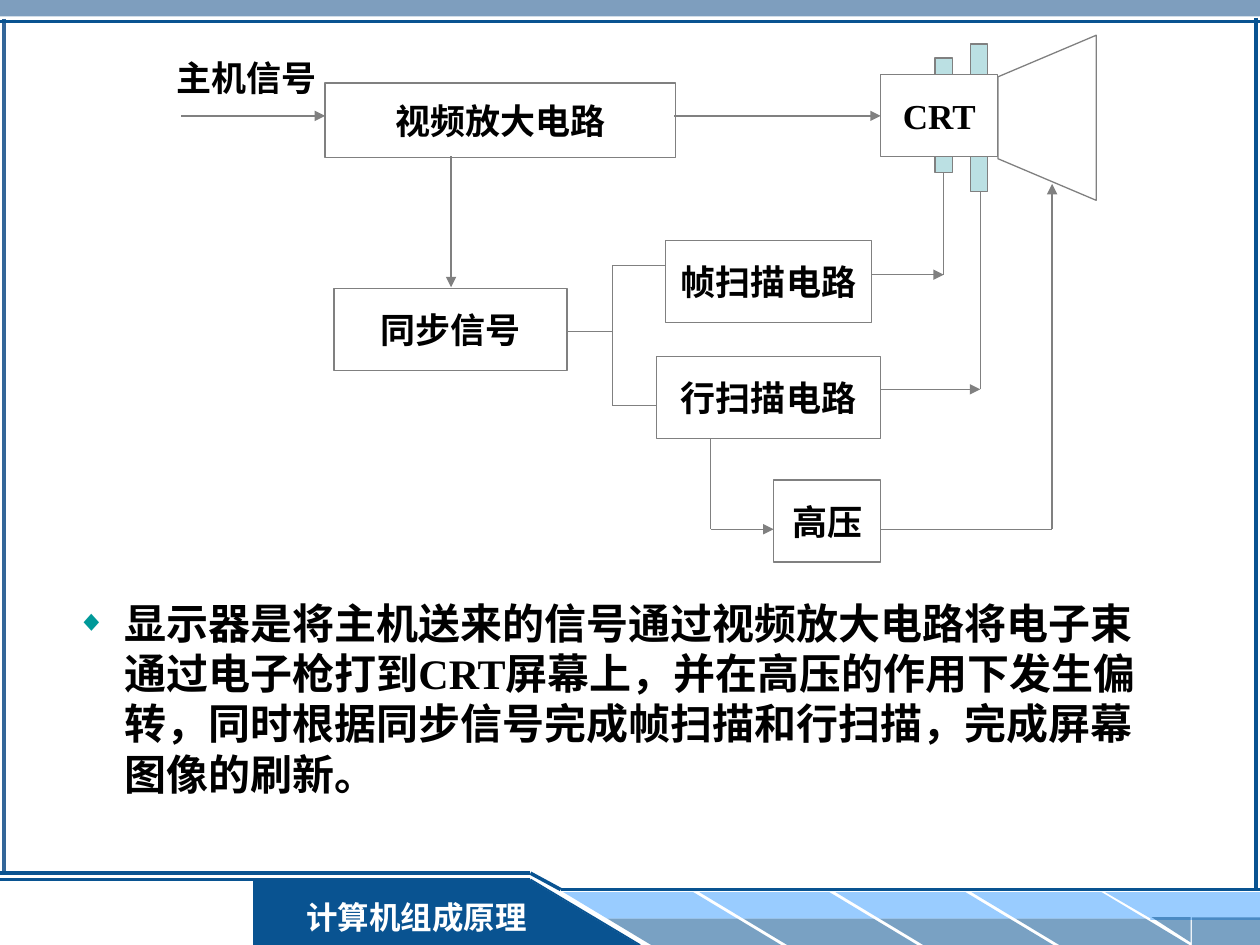
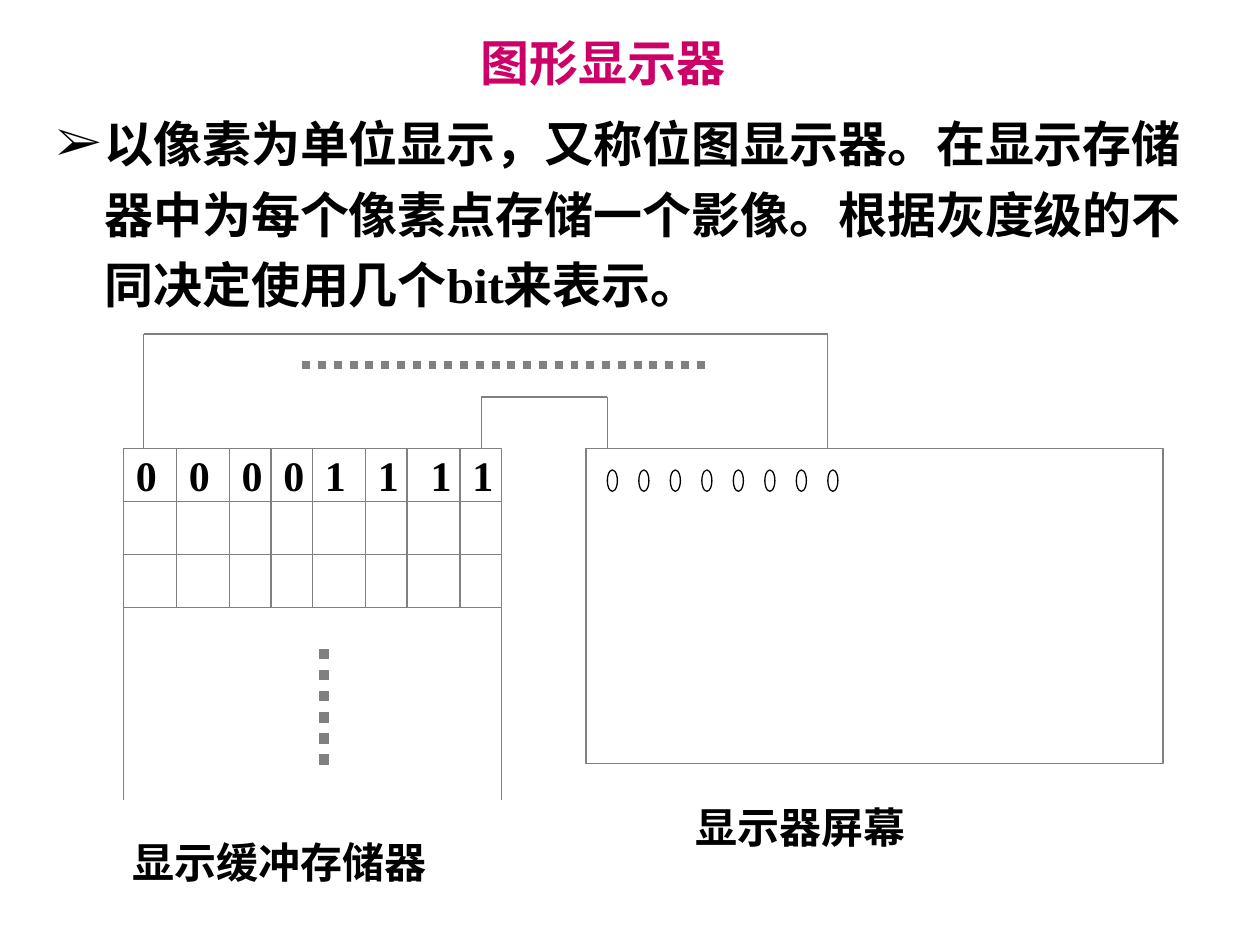
import pptx
import pptx.util
import pptx.dml.color
import pptx.enum.dml
import pptx.enum.shapes
import pptx.enum.text
import pptx.oxml.ns
import itertools
import lxml.etree

Inches, Pt = pptx.util.Inches, pptx.util.Pt
qn = pptx.oxml.ns.qn
PRESET = pptx.enum.shapes.MSO_SHAPE
ALIGN = pptx.enum.text.PP_ALIGN
ANCHOR = pptx.enum.text.MSO_ANCHOR

COLORS = {"navy": "095391", "steel": "336699", "sky": "99CCFF", "coil": "BBE0E3",
          "gray": "808080", "teal": "009999", "magenta": "CC0066",
          "black": "000000", "white": "FFFFFF"}
FONT = "Times New Roman"

# ---- Content: CRT block diagram ----
COURSE = "计算机组成原理"
COILS = [(7.42, 0.46, 0.14, 0.91), (7.7, 0.35, 0.14, 1.17)]
BLOCKS = [
    ("视频放大电路", (2.58, 0.66, 2.78, 0.59), None),
    ("同步信号", (2.65, 2.29, 1.85, 0.65), None),
    ("帧扫描电路", (5.28, 1.91, 1.64, 0.65), None),
    ("行扫描电路", (5.21, 2.83, 1.78, 0.65), None),
    ("高压", (6.14, 3.81, 0.85, 0.65), None),
    ("CRT", (6.99, 0.59, 0.93, 0.65), "white"),
]
TUBE = [(8.7, 0.28), (7.92, 0.61), (7.92, 1.26), (8.7, 1.59)]
SIGNAL_WIRES = [  # points, ends in an arrow
    ([(1.44, 0.92), (2.58, 0.92)], True),
    ([(3.58, 1.24), (3.58, 2.28)], True),
    ([(4.5, 2.63), (4.86, 2.63)], False),
    ([(5.28, 2.11), (4.86, 2.11), (4.86, 3.22), (5.21, 3.22)], False),
    ([(5.64, 3.48), (5.64, 4.2), (6.14, 4.2)], True),
    ([(5.35, 0.92), (6.99, 0.92)], True),
    ([(6.99, 4.2), (8.35, 4.2), (8.35, 1.46)], True),
    ([(7.78, 1.52), (7.78, 3.09)], False),
    ([(6.99, 3.09), (7.78, 3.09)], True),
    ([(7.49, 1.37), (7.49, 2.18)], False),
    ([(6.92, 2.18), (7.49, 2.18)], True),
]
HOST_SIGNAL = "主机信号"
CRT_NOTE = ("显示器是将主机送来的信号通过视频放大电路将电子束通过电子枪打到CRT屏幕上，"
            "并在高压的作用下发生偏转，同时根据同步信号完成帧扫描和行扫描，完成屏幕图像的刷新。")

# ---- Content: graphic display ----
GRAPHIC_TITLE = "图形显示器"
GRAPHIC_NOTE = ("以像素为单位显示，又称位图显示器。在显示存储器中为每个像素点存储一个影像。"
                "根据灰度级的不同决定使用几个bit来表示。")
BITS = "00001111"
BIT_STEPS = [0.42, 0.42, 0.33, 0.33, 0.42, 0.42, 0.33]
CELL_WIDTHS = [0.42, 0.42, 0.33, 0.33, 0.42, 0.33, 0.42]
BUFFER_ROWS, ROW_HEIGHT = 3, 0.42
BUFFER_LEFT, BUFFER_RIGHT, BUFFER_TOP = 0.98, 3.98, 3.56
SCREEN = (4.65, 3.56, 4.58, 2.5)
PIXEL_LEFT, PIXEL_TOP, PIXEL_PITCH = 4.82, 3.73, 0.25
PIXEL_WIRES = [
    [(3.82, 3.56), (3.82, 3.15), (4.82, 3.15), (4.82, 3.56)],
    [(1.14, 3.56), (1.14, 2.65), (6.57, 2.65), (6.57, 3.56)],
]
CAPTIONS = [("显示缓冲存储器", (0.95, 6.59, 3.83, 0.5)),
            ("显示器屏幕", (5.42, 6.31, 3.83, 0.5))]


# ---- Drawing helpers ----
def rgb(name):
    return pptx.dml.color.RGBColor.from_string(COLORS[name])


def add_xml(parent, tag, **attributes):
    return lxml.etree.SubElement(parent, qn(tag), attributes)


def box(at):
    return [Inches(length) for length in at]


def paint(shape, fill=None, outline=None, opacity=None):
    shape.shadow.inherit = False
    if fill:
        shape.fill.solid()
        shape.fill.fore_color.rgb = rgb(fill)
        if opacity:
            color = shape.fill._xPr.find(qn("a:solidFill"))[0]
            add_xml(color, "a:alpha", val=str(opacity * 1000))
    else:
        shape.fill.background()
    if outline:
        shape.line.color.rgb = rgb(outline)
        shape.line.width = Pt(0.75)
    else:
        shape.line.fill.background()


def draw(slide, preset, at, fill=None, outline=None, opacity=None, flip="", adjust=None):
    shape = slide.shapes.add_shape(preset, *box(at))
    paint(shape, fill, outline, opacity)
    for axis in flip:
        shape._element.spPr.find(qn("a:xfrm")).set("flip" + axis, "1")
    if adjust:
        shape.adjustments[0] = adjust
    return shape


def wire(slide, points, color="gray", width=0.75, arrow=False, dotted=False):
    for index, (start, end) in enumerate(zip(points, points[1:]), 1):
        segment = slide.shapes.add_connector(
            pptx.enum.shapes.MSO_CONNECTOR.STRAIGHT, *box(start + end))
        segment.line.color.rgb = rgb(color)
        segment.line.width = Pt(width)
        if dotted:
            segment.line.dash_style = pptx.enum.dml.MSO_LINE.ROUND_DOT
        if arrow and index == len(points) - 1:
            add_xml(segment.line._ln, "a:tailEnd", type="triangle")
        add_xml(segment._element.spPr, "a:effectLst")


def write(frame, text, size, color="black", align=ALIGN.LEFT, anchor=ANCHOR.TOP,
          before=0, spacing=None, bullet=None, tabs=(), wrap=True):
    frame.word_wrap = wrap
    frame.vertical_anchor = anchor
    frame.margin_left = Inches(0.1)
    frame.margin_right = 0 if tabs else Inches(0.1)
    frame.margin_top = frame.margin_bottom = Inches(0.05)
    paragraph = frame.paragraphs[0]
    paragraph.text = text
    paragraph.alignment = align
    paragraph.space_before = Pt(before)
    if spacing:
        paragraph.line_spacing = spacing
    properties = paragraph._p.get_or_add_pPr()
    if bullet:
        mark, mark_color, percent = bullet
        properties.set("marL", str(Inches(0.38)))
        properties.set("indent", str(-Inches(0.38)))
        add_xml(add_xml(properties, "a:buClr"), "a:srgbClr", val=COLORS[mark_color])
        add_xml(properties, "a:buSzPct", val=str(percent * 1000))
        add_xml(properties, "a:buFont", typeface=FONT)
        add_xml(properties, "a:buChar", char=mark)
    if tabs:
        stops = add_xml(properties, "a:tabLst")
        for stop in tabs:
            add_xml(stops, "a:tab", pos=str(Inches(stop)), algn="l")
    font = paragraph.font
    font.name, font.size, font.bold = FONT, Pt(size), True
    font.color.rgb = rgb(color)


def label(slide, text, at, size, **options):
    write(slide.shapes.add_textbox(*box(at)).text_frame, text, size, **options)


# ---- Shared frame: top band, borders, footer ----
def add_frame(slide):
    draw(slide, PRESET.RECTANGLE, (0, 0, 10, 0.13), "steel", opacity=63)
    wire(slide, [(0.03, 0.15), (0.03, 6.93)], "steel", 2)
    draw(slide, PRESET.RECTANGLE, (2.01, 6.98, 2.2, 0.52), "navy")
    wire(slide, [(5.08, 7.5), (4.21, 6.98)], "navy", 1)
    wire(slide, [(4.21, 6.98), (0, 6.98)], "navy", 1.5)

    # Slanted footer stripes in two rows
    for index in range(4):
        left = 4.47 + 1.08 * index
        for x, top, fill, opacity in ((left, 7.08, "sky", None),
                                      (left + 0.35, 7.29, "navy", 54)):
            draw(slide, PRESET.PARALLELOGRAM, (x, top, 1.38, 0.21), fill,
                 opacity=opacity, flip="H", adjust=1.66)
    draw(slide, PRESET.RECTANGLE, (9.13, 7.08, 0.87, 0.22), "sky")
    draw(slide, PRESET.RIGHT_TRIANGLE, (8.77, 7.08, 0.38, 0.22), "sky", flip="HV")
    draw(slide, PRESET.RECTANGLE, (9.46, 7.28, 0.54, 0.22), "navy", opacity=54)
    draw(slide, PRESET.RIGHT_TRIANGLE, (9.14, 7.28, 0.31, 0.2), "navy",
         opacity=54, flip="HV")

    # Course name and outer lines
    course = draw(slide, PRESET.RECTANGLE, (2.28, 7.08, 2.05, 0.4), "navy")
    write(course.text_frame, COURSE, 18, "white", ALIGN.CENTER, before=11.2)
    draw(slide, PRESET.RIGHT_TRIANGLE, (4.2, 6.98, 0.87, 0.52), "navy")
    wire(slide, [(0, 6.93), (4.21, 6.93), (4.45, 7.06), (10, 7.06)], "navy", 2)
    wire(slide, [(0, 0.17), (10, 0.17)], "navy", 2)
    wire(slide, [(9.97, 0.14), (9.97, 7.07)], "navy", 2)


def build_crt_slide(deck):
    slide = deck.slides.add_slide(deck.slide_layouts[6])
    add_frame(slide)
    for coil in COILS:
        draw(slide, PRESET.RECTANGLE, coil, "coil", "gray")
    for text, at, fill in BLOCKS:
        block = draw(slide, PRESET.RECTANGLE, at, fill, "gray")
        write(block.text_frame, text, 20, align=ALIGN.CENTER,
              anchor=ANCHOR.MIDDLE, wrap=False)

    # Picture tube
    corners = [tuple(box(corner)) for corner in TUBE]
    outline = slide.shapes.build_freeform(*corners[0])
    outline.add_line_segments(corners[1:], close=True)
    paint(outline.convert_to_shape(), outline="gray")

    for points, arrow in SIGNAL_WIRES:
        wire(slide, points, arrow=arrow)
    label(slide, HOST_SIGNAL, (1.3, 0.4, 1.64, 0.44), 20, before=12.5)
    label(slide, CRT_NOTE, (0.51, 4.69, 8.66, 1.7), 24, before=15,
          bullet=("◆", "teal", 70))


def add_buffer(slide):
    width = BUFFER_RIGHT - BUFFER_LEFT
    for index in range(BUFFER_ROWS):
        top = BUFFER_TOP + index * ROW_HEIGHT
        row = draw(slide, PRESET.RECTANGLE, (BUFFER_LEFT, top, width, ROW_HEIGHT),
                   outline="gray")
        if index == 0:
            write(row.text_frame, "\t".join(BITS), 24, anchor=ANCHOR.MIDDLE,
                  tabs=list(itertools.accumulate(BIT_STEPS)))
        for offset in itertools.accumulate(CELL_WIDTHS):
            x = BUFFER_LEFT + offset
            wire(slide, [(x, top), (x, top + ROW_HEIGHT)])

    # Open sides continuing downwards
    bottom = BUFFER_TOP + BUFFER_ROWS * ROW_HEIGHT
    for x in (BUFFER_LEFT, BUFFER_RIGHT):
        wire(slide, [(x, bottom), (x, 6.35)])
    wire(slide, [(2.57, 5.15), (2.57, 6.15)], width=6, dotted=True)


def build_graphic_slide(deck):
    slide = deck.slides.add_slide(deck.slide_layouts[5])
    title = slide.shapes.title
    title.left, title.top, title.width, title.height = box((0.21, 0.21, 9.15, 0.57))
    write(title.text_frame, GRAPHIC_TITLE, 28, "magenta", ALIGN.CENTER, ANCHOR.MIDDLE)
    label(slide, GRAPHIC_NOTE, (0.35, 0.76, 9.13, 1.83), 28, before=7,
          spacing=1.2, bullet=("➢", "black", 100))
    add_buffer(slide)

    # Screen with one pixel per bit
    draw(slide, PRESET.RECTANGLE, SCREEN, outline="gray")
    for index in range(len(BITS)):
        pixel = (PIXEL_LEFT + index * PIXEL_PITCH, PIXEL_TOP, 0.08, 0.17)
        draw(slide, PRESET.OVAL, pixel, outline="black")
    for points in PIXEL_WIRES:
        wire(slide, points)
    wire(slide, [(2.4, 2.9), (5.65, 2.9)], width=4.5, dotted=True)
    for text, at in CAPTIONS:
        label(slide, text, at, 24, before=15)


def main():
    deck = pptx.Presentation()
    deck.slide_width, deck.slide_height = Inches(10), Inches(7.5)
    build_crt_slide(deck)
    build_graphic_slide(deck)
    deck.save("out.pptx")


if __name__ == "__main__":
    main()
